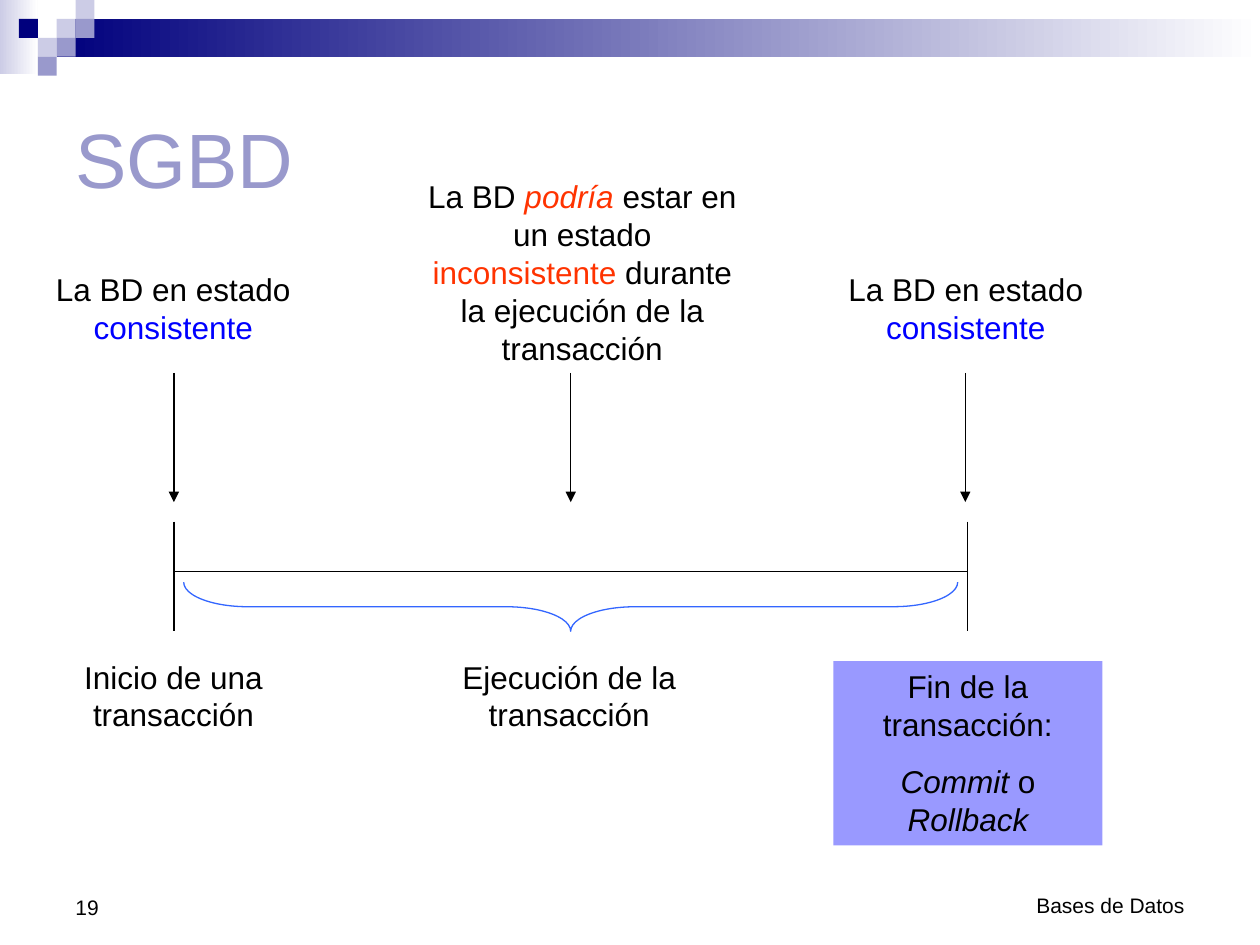
import pptx
import pptx.util
import pptx.dml.color
import pptx.enum.shapes
import pptx.enum.text
import pptx.oxml.ns
from lxml import etree

RGB = pptx.dml.color.RGBColor
SHAPE = pptx.enum.shapes.MSO_SHAPE
ALIGN = pptx.enum.text.PP_ALIGN
ANCHOR = pptx.enum.text.MSO_ANCHOR
Pt = pptx.util.Pt

NAVY = RGB(0x00, 0x00, 0x7D)
LAVENDER = RGB(0x99, 0x99, 0xCC)
PALE = RGB(0xCC, 0xCC, 0xE6)
PANEL = RGB(0x99, 0x99, 0xFF)
BLUE = RGB(0x00, 0x00, 0xFF)
BRACE = RGB(0x33, 0x66, 0xFF)
RED = RGB(0xFF, 0x33, 0x00)
BLACK = RGB(0x00, 0x00, 0x00)
WHITE = RGB(0xFF, 0xFF, 0xFF)

COLS, ROWS = 100, 75
WIDTH, HEIGHT = pptx.util.Inches(10), pptx.util.Inches(7.5)

CONSISTENT = [[("La BD en estado ", {}), ("consistente", {"color": BLUE})]]
INCONSISTENT = [[
    ("La BD ", {}),
    ("podría ", {"color": RED, "italic": True}),
    ("estar en un estado ", {}),
    ("inconsistente", {"color": RED}),
    (" durante la ejecución de la transacción", {}),
]]
START = [[("Inicio de una transacción", {})]]
RUNNING = [[("Ejecución de la transacción", {})]]
FINISH = [
    [("Fin de la transacción:", {})],
    [("Commit", {"italic": True}), (" o ", {}), ("Rollback", {"italic": True})],
]


def grid(x, y):
    return round(x * WIDTH / COLS), round(y * HEIGHT / ROWS)


def add_shape(s, kind, box):
    x, y, w, h = box
    sp = s.shapes.add_shape(kind, *grid(x, y), *grid(w, h))
    sp.shadow.inherit = False
    sp.line.fill.background()
    return sp


def add_block(s, box, color):
    sp = add_shape(s, SHAPE.RECTANGLE, box)
    sp.fill.solid()
    sp.fill.fore_color.rgb = color
    return sp


def add_gradient(s, box, color):
    sp = add_shape(s, SHAPE.RECTANGLE, box)
    sp.fill.gradient()
    sp.fill.gradient_angle = 0
    for stop, rgb, position in zip(sp.fill.gradient_stops, (color, WHITE), (0, 1)):
        stop.color.rgb = rgb
        stop.position = position


def add_line(s, start, end, arrow=False):
    line = s.shapes.add_connector(
        pptx.enum.shapes.MSO_CONNECTOR.STRAIGHT, *grid(*start), *grid(*end))
    line.line.color.rgb = BLACK
    line.line.width = Pt(0.75)
    qn = pptx.oxml.ns.qn
    if arrow:
        etree.SubElement(line.line._get_or_add_ln(), qn("a:tailEnd"), type="triangle")
    etree.SubElement(line._element.spPr, qn("a:effectLst"))


def write_text(sp, paragraphs, size=18, align=ALIGN.CENTER, anchor=ANCHOR.TOP):
    tf = sp.text_frame
    tf.word_wrap = True
    tf.vertical_anchor = anchor
    for i, runs in enumerate(paragraphs):
        p = tf.add_paragraph() if i else tf.paragraphs[0]
        p.alignment = align
        if i:
            p.space_before = Pt(11.2)
        for text, changes in runs:
            r = p.add_run()
            r.text = text
            font = {"name": "Arial", "size": Pt(size), "italic": False, "color": BLACK}
            font.update(changes)
            r.font.color.rgb = font.pop("color")
            for name, value in font.items():
                setattr(r.font, name, value)


def add_text(s, box, paragraphs, **layout):
    x, y, w, h = box
    write_text(s.shapes.add_textbox(*grid(x, y), *grid(w, h)), paragraphs, **layout)


def header(s, box):
    x, y, w, h = box
    cell = h / 4
    add_gradient(s, (x, y, 2 * cell, 3.9 * cell), PALE)
    add_gradient(s, (x + 3 * cell, y + cell, w - 3 * cell, 2 * cell), NAVY)
    squares = [
        (3, 1, PALE), (4, 0, PALE), (4, 1, LAVENDER), (2, 2, PALE),
        (1, 1, NAVY), (3, 2, LAVENDER), (2, 3, LAVENDER),
    ]
    for col, row, color in squares:
        add_block(s, (x + col * cell, y + row * cell, cell, cell), color)


def title(s, box):
    add_text(s, box, [[("SGBD", {"color": LAVENDER})]],
             size=44, align=ALIGN.LEFT, anchor=ANCHOR.MIDDLE)


def states(s, box):
    x, y, w, h = box
    side = 0.253 * w
    add_text(s, (x, y + 0.46 * h, side, 0.44 * h), CONSISTENT)
    add_text(s, (x + 0.355 * w, y, 0.314 * w, h), INCONSISTENT)
    add_text(s, (x + w - side, y + 0.46 * h, side, 0.44 * h), CONSISTENT)


def timeline(s, box):
    x, y, w, h = box
    right, bottom = x + w, y + h
    axis = y + 0.77 * h
    for share in (0, 0.5, 0.997):
        add_line(s, (x + share * w, y), (x + share * w, y + h / 2), arrow=True)
    for tick in (x, right):
        add_line(s, (tick, y + 0.576 * h), (tick, bottom))
    add_line(s, (x, axis), (right, axis))
    depth, length = 0.19 * h, 0.975 * w
    center_x, center_y = x + w / 2, bottom - depth / 2
    brace = add_shape(s, SHAPE.LEFT_BRACE, (
        center_x - depth / 2, center_y - length / 2, depth, length))
    brace.rotation = 270
    brace.adjustments[0] = 1.31
    brace.adjustments[1] = 0.5
    brace.fill.background()
    brace.line.color.rgb = BRACE
    brace.line.width = Pt(0.75)


def phases(s, box):
    x, y, w, h = box
    width = 0.253 * w
    add_text(s, (x, y, width, 0.455 * h), START)
    add_text(s, (x + 0.372 * w, y, width, 0.455 * h), RUNNING)
    write_text(add_block(s, (x + w - width, y + 0.05 * h, width, 0.95 * h), PANEL), FINISH)


def footer(s, box):
    x, y, w, h = box
    part = 0.259 * w
    add_text(s, (x, y, part, h), [[("19", {})]],
             size=12, align=ALIGN.LEFT, anchor=ANCHOR.BOTTOM)
    add_text(s, (x + w - part, y, part, 0.96 * h), [[("Bases de Datos", {})]],
             size=12, align=ALIGN.RIGHT, anchor=ANCHOR.BOTTOM)


def main():
    prs = pptx.Presentation()
    prs.slide_width, prs.slide_height = WIDTH, HEIGHT
    s = prs.slides.add_slide(prs.slide_layouts[6])
    header(s, (0, 0, COLS, 6))
    footer(s, (5, 68.3, 90, 5.2))
    title(s, (5, 5, 90, 15))
    states(s, (3.1, 13.6, 84.2, 16))
    timeline(s, (13.8, 29.6, 63, 20.5))
    phases(s, (3.1, 51.7, 84.4, 15.4))
    prs.save("out.pptx")


if __name__ == "__main__":
    main()
